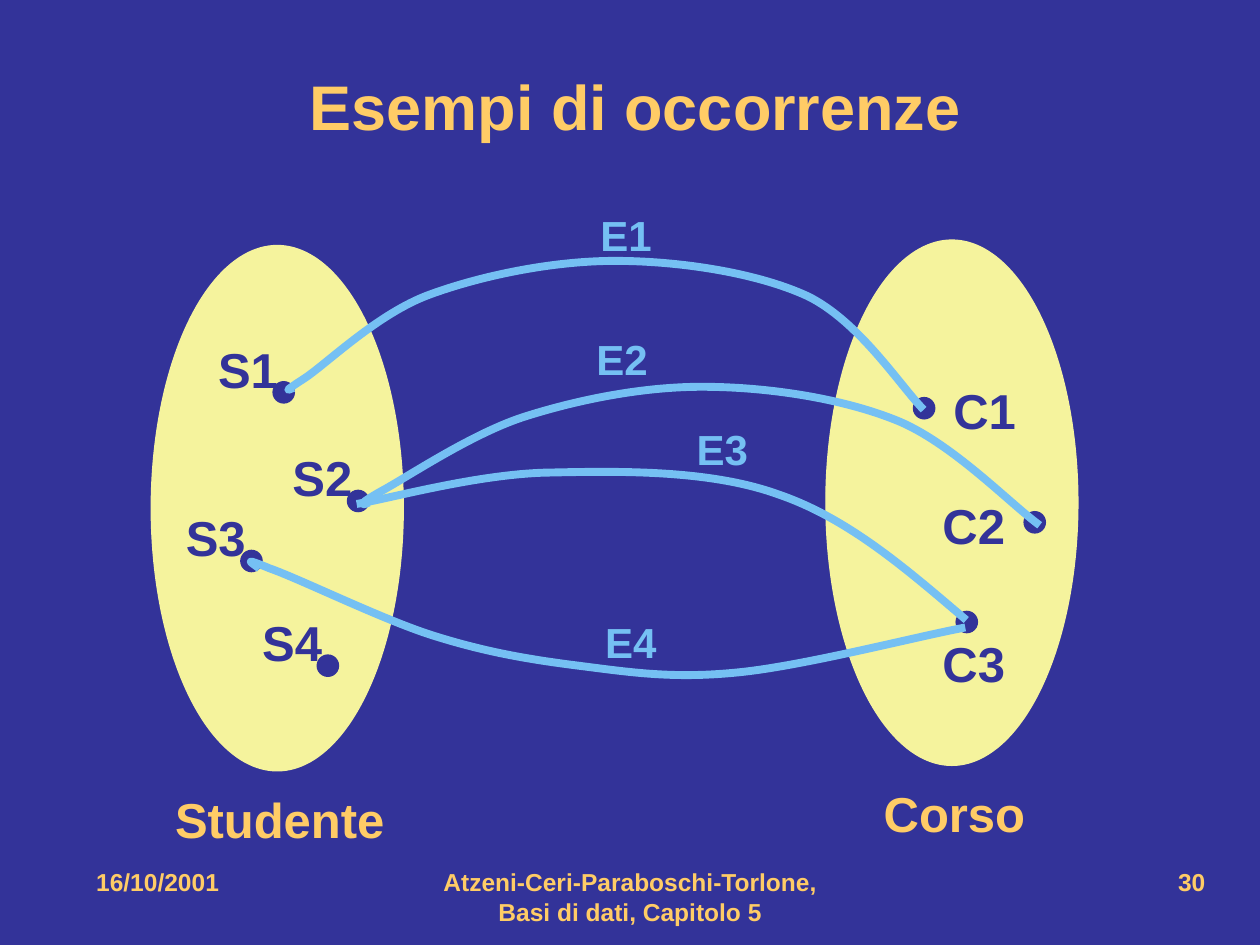
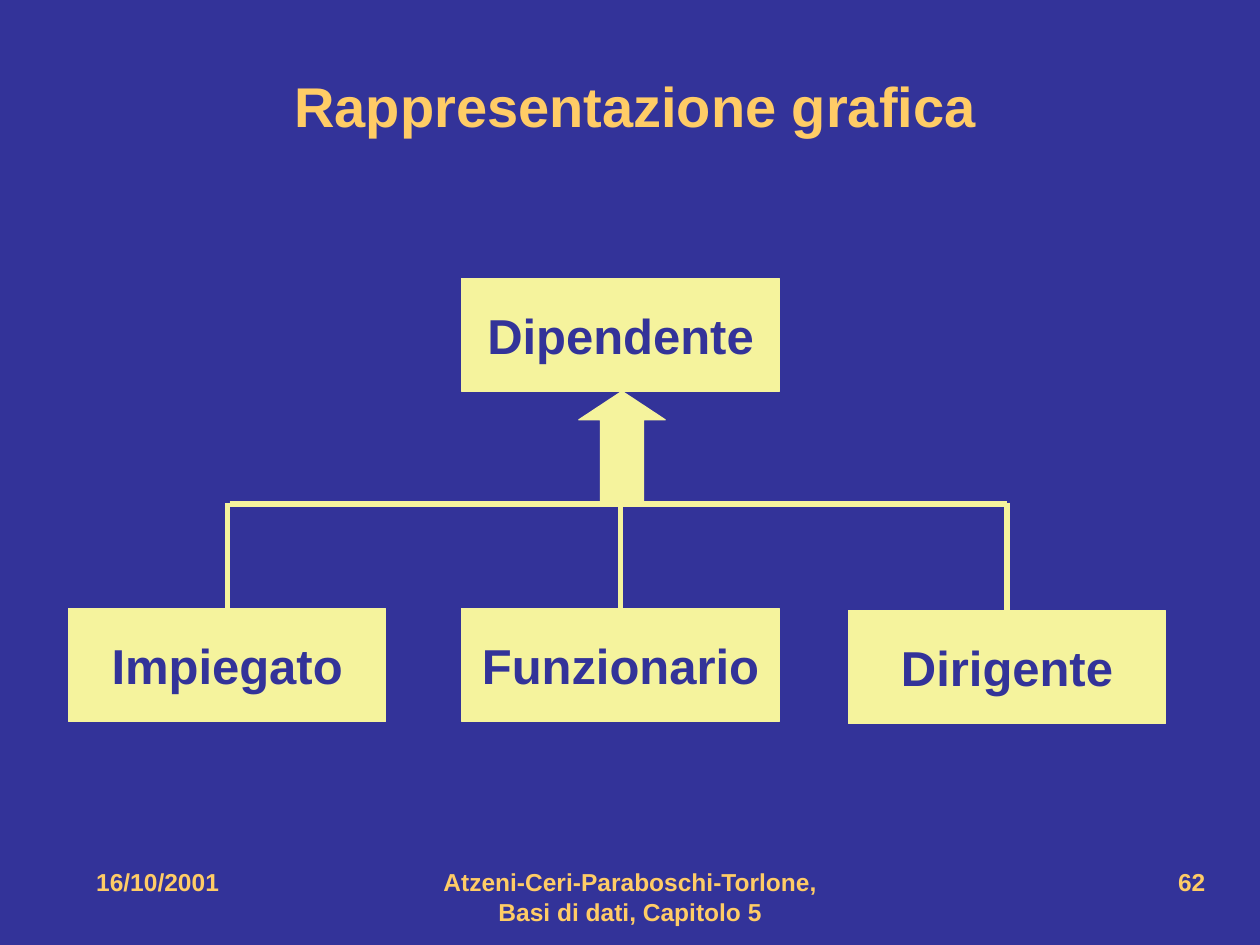
from lxml.etree import SubElement
from pptx import Presentation
from pptx.dml.color import RGBColor
from pptx.enum.shapes import MSO_CONNECTOR, MSO_SHAPE as Preset
from pptx.enum.text import MSO_ANCHOR as Anchor, PP_ALIGN as Align
from pptx.oxml.ns import qn
from pptx.util import Cm, Pt

# Shared style
FONT = "Arial"
BLUE = RGBColor(0x33, 0x33, 0x99)
GOLD = RGBColor(0xFF, 0xCC, 0x66)
CREAM = RGBColor(0xF5, 0xF3, 0x9D)
SKY = RGBColor(0x75, 0xC0, 0xF3)
TITLE_BOX = (1.28, 0.64, 23.06, 2.97)
FOOTER_TOP, FOOTER_HEIGHT = 17.36, 1.27
DATE = "16/10/2001"
SOURCE = "Atzeni-Ceri-Paraboschi-Torlone, Basi di dati, Capitolo 5"

# Slide 30: sets, their elements and the occurrences (lengths in cm)
SET_SIZE = (5.08, 10.59)
SETS = [  # name, left, top, label width
    ("Studente", 3.05, 4.95, 4.9),
    ("Corso", 16.65, 4.84, 3.5),
]
DOT = 0.43
STUDENT_OFFSET = (-0.72, -0.48)
ELEMENTS = [  # name, centre of the dot, offset of the label
    ("S1", (5.72, 7.91), STUDENT_OFFSET),
    ("S2", (7.22, 10.1), STUDENT_OFFSET),
    ("S3", (5.07, 11.31), STUDENT_OFFSET),
    ("S4", (6.61, 13.42), STUDENT_OFFSET),
    ("C1", (18.63, 8.23), (1.22, 0.03)),
    ("C2", (20.86, 10.53), (-1.23, 0.05)),
    ("C3", (19.49, 12.54), (0.14, 0.82)),
]
OCCURRENCES = [  # name, centre of the label, start and Bezier points
    ("E1", (12.62, 4.74), [
        (5.92, 7.82),
        (5.79, 7.87), (5.69, 7.92), (6.15, 7.62),
        (6.6, 7.32), (7.62, 6.32), (8.66, 5.94),
        (9.7, 5.56), (11.13, 5.26), (12.4, 5.26),
        (13.67, 5.26), (15.24, 5.49), (16.28, 5.97),
        (17.32, 6.48), (18.14, 7.77), (18.62, 8.26)]),
    ("E2", (12.54, 7.24), [
        (7.44, 10.13),
        (7.32, 10.19), (7.14, 10.21), (7.67, 9.91),
        (8.2, 9.63), (9.55, 8.71), (10.64, 8.38),
        (11.76, 8.03), (13.11, 7.77), (14.35, 7.8),
        (15.6, 7.82), (17.07, 8.05), (18.16, 8.51),
        (19.25, 8.99), (20.37, 10.16), (20.96, 10.59)]),
    ("E3", (14.56, 9.04), [
        (7.19, 10.16),
        (7.82, 10.06), (9.53, 9.58), (10.95, 9.53),
        (12.34, 9.5), (14.25, 9.45), (15.67, 9.96),
        (17.09, 10.44), (18.26, 11.46), (19.48, 12.5)]),
    ("E4", (12.72, 12.93), [
        (5.23, 11.46),
        (5.05, 11.33), (4.88, 11.23), (5.44, 11.46),
        (6.02, 11.66), (7.67, 12.47), (8.69, 12.8),
        (9.73, 13.13), (10.57, 13.28), (11.58, 13.41),
        (12.62, 13.54), (13.51, 13.69), (14.83, 13.56),
        (16.15, 13.44), (18.49, 12.83), (19.46, 12.65)]),
]

# Slide 62: the generalization (lengths in cm)
ENTITY_SIZE = (6.4, 2.28)
PARENT = ("Dipendente", 9.31, 5.61)
CHILDREN = [
    ("Impiegato", 1.38, 12.27),
    ("Funzionario", 9.31, 12.27),
    ("Dirigente", 17.1, 12.31),
]
BAR_TOP = 10.16
ARROW_WIDTH = 1.74


def write(shape, text, size, color, align=Align.CENTER, anchor=Anchor.MIDDLE, wrap=False):
    frame = shape.text_frame
    frame.text = text
    frame.word_wrap = wrap
    frame.vertical_anchor = anchor
    paragraph = frame.paragraphs[0]
    paragraph.alignment = align
    font = paragraph.runs[0].font
    font.name, font.size, font.bold = FONT, Pt(size), True
    font.color.rgb = color


def add_label(slide, text, center, size, color, width=2):
    height = 1.45
    left, top = center[0] - width / 2, center[1] - height / 2
    box = slide.shapes.add_textbox(Cm(left), Cm(top), Cm(width), Cm(height))
    write(box, text, size, color)


def add_filled(slide, preset, left, top, width, height, color):
    shape = slide.shapes.add_shape(preset, Cm(left), Cm(top), Cm(width), Cm(height))
    shape.shadow.inherit = False
    shape.fill.solid()
    shape.fill.fore_color.rgb = color
    shape.line.color.rgb = color
    shape.line.width = Pt(0.75)
    return shape


def add_line(slide, *ends):
    line = slide.shapes.add_connector(MSO_CONNECTOR.STRAIGHT, *map(Cm, ends))
    line.line.color.rgb = CREAM
    line.line.width = Pt(3)
    SubElement(line._element.spPr, qn("a:effectLst"))


def add_curve(slide, points):
    start, *rest = [(Cm(x), Cm(y)) for x, y in points]
    builder = slide.shapes.build_freeform(*start)
    builder.add_line_segments(rest, close=False)
    curve = builder.convert_to_shape()
    curve.shadow.inherit = False
    curve.fill.background()
    curve.line.color.rgb = SKY
    curve.line.width = Pt(4.5)
    # Every three straight segments become one cubic Bezier
    outline = curve._element.find(".//" + qn("a:path"))
    segments = outline.findall(qn("a:lnTo"))
    for index, segment in enumerate(segments):
        if index % 3 == 0:
            bezier = SubElement(outline, qn("a:cubicBezTo"))
        bezier.append(segment[0])
        outline.remove(segment)


def add_slide(presentation, layout, title, title_size, number):
    slide = presentation.slides.add_slide(layout)
    write(slide.shapes.title, title, title_size, GOLD, wrap=True)
    footers = [
        (SOURCE, 8.68, 8.05, Align.CENTER),
        (number, 18.2, 6.35, Align.RIGHT),
        (DATE, 1.69, 5.51, Align.LEFT),
    ]
    for text, left, width, align in footers:
        box = slide.shapes.add_textbox(Cm(left), Cm(FOOTER_TOP), Cm(width), Cm(FOOTER_HEIGHT))
        write(box, text, 14, GOLD, align, Anchor.TOP, wrap=True)
    return slide


def draw_occurrences(slide):
    # Sets with their names
    width, height = SET_SIZE
    for name, left, top, label_width in SETS:
        add_filled(slide, Preset.OVAL, left, top, width, height, CREAM)
        center = (left + width / 2 + 0.05, top + height + 0.96)
        add_label(slide, name, center, 28, GOLD, label_width)
    # Elements
    for name, (x, y), (shift_x, shift_y) in ELEMENTS:
        add_filled(slide, Preset.OVAL, x - DOT / 2, y - DOT / 2, DOT, DOT, BLUE)
        add_label(slide, name, (x + shift_x, y + shift_y), 28, BLUE)
    # Occurrences
    for name, center, points in OCCURRENCES:
        add_curve(slide, points)
        add_label(slide, name, center, 24, SKY)


def draw_generalization(slide):
    width, height = ENTITY_SIZE
    # Entities
    for name, left, top in [PARENT, *CHILDREN]:
        box = add_filled(slide, Preset.RECTANGLE, left, top, width, height, CREAM)
        write(box, name, 28, BLUE)
    # Branches from the children to the bar
    centers = [left + width / 2 for _, left, _ in CHILDREN]
    for center, (_, _, top) in zip(centers, CHILDREN):
        add_line(slide, center, BAR_TOP - 0.03, center, top + 0.1)
    add_line(slide, centers[0] + 0.05, BAR_TOP, centers[-1], BAR_TOP)
    # Arrow to the parent
    parent_bottom = PARENT[2] + height
    arrow = add_filled(slide, Preset.UP_ARROW, centers[1] - ARROW_WIDTH / 2 + 0.03, parent_bottom,
                       ARROW_WIDTH, BAR_TOP - parent_bottom, CREAM)
    arrow.adjustments[0] = 0.5
    arrow.adjustments[1] = 0.33


def main():
    presentation = Presentation()
    presentation.slide_width, presentation.slide_height = Cm(25.4), Cm(19.05)
    background = presentation.slide_master.background.fill
    background.solid()
    background.fore_color.rgb = BLUE
    layout = presentation.slide_layouts.get_by_name("Title Only")
    title = layout.placeholders[0]
    title.left, title.top, title.width, title.height = map(Cm, TITLE_BOX)

    draw_occurrences(add_slide(presentation, layout, "Esempi di occorrenze", 36, "30"))
    draw_generalization(add_slide(presentation, layout, "Rappresentazione grafica", 32, "62"))
    presentation.save("out.pptx")


if __name__ == "__main__":
    main()
